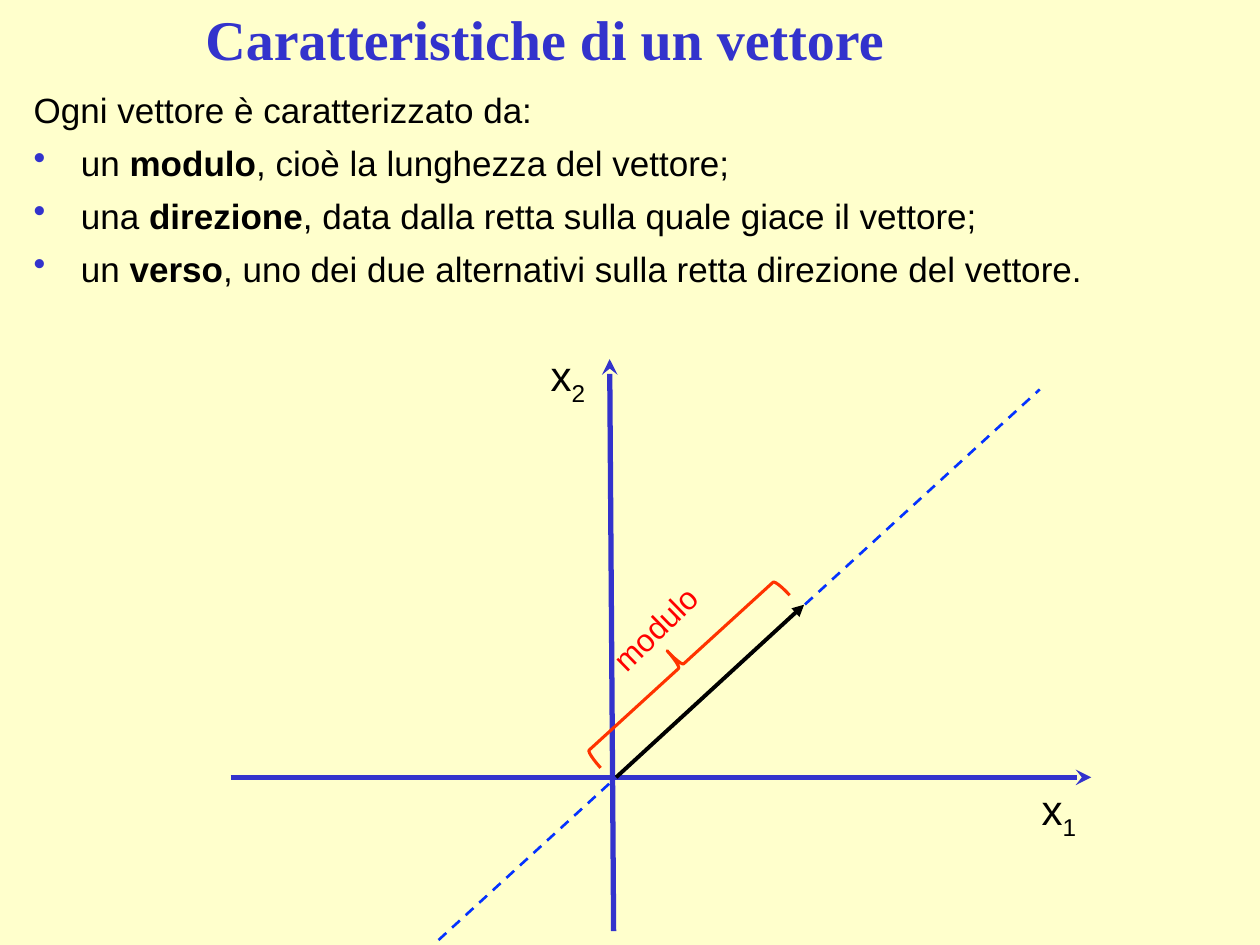
from lxml import etree
from pptx import Presentation
from pptx.dml.color import RGBColor
from pptx.enum.dml import MSO_LINE
from pptx.enum.shapes import MSO_CONNECTOR, MSO_SHAPE
from pptx.enum.text import MSO_ANCHOR, MSO_AUTO_SIZE, PP_ALIGN
from pptx.oxml.ns import qn
from pptx.util import Cm, Pt

STRAIGHT = MSO_CONNECTOR.STRAIGHT
BRACE = MSO_SHAPE.LEFT_BRACE
DASH = MSO_LINE.DASH
MIDDLE = MSO_ANCHOR.MIDDLE
GROW = MSO_AUTO_SIZE.SHAPE_TO_FIT_TEXT
JUSTIFY = PP_ALIGN.JUSTIFY

COLORS = {
    "paper": "FFFFCC",
    "axis": "3333CC",
    "dash": "0432FF",
    "brace": "FF3300",
    "red": "FF0000",
    "ink": "000000",
}


def color(name):
    return RGBColor.from_string(COLORS[name])


def add_box(slide, x, y, w, h):
    return slide.shapes.add_textbox(Cm(x), Cm(y), Cm(w), Cm(h))


def add_run(para, text, size, tint="ink", face="Arial", bold=False):
    run = para.add_run()
    run.text = text
    font = run.font
    font.name, font.size, font.bold = face, Pt(size), bold
    font.color.rgb = color(tint)
    return run


def set_indent(para, left, first, bullet=None):
    """Set the indents in cm and, if given, the bullet sign."""
    props = para._p.get_or_add_pPr()
    props.set("marL", str(Cm(left)))
    props.set("indent", str(Cm(first)))
    if bullet:
        tint = etree.SubElement(props, qn("a:buClr"))
        etree.SubElement(tint, qn("a:srgbClr"), val=COLORS["axis"])
        etree.SubElement(props, qn("a:buChar"), char=bullet)


def add_line(slide, start, end, tint, width, head=None):
    """Draw a line between two points in cm, with an arrowhead at its end."""
    line = slide.shapes.add_connector(STRAIGHT, *map(Cm, start + end))
    line.line.color.rgb = color(tint)
    line.line.width = Pt(width)
    if head:
        etree.SubElement(line.line._get_or_add_ln(), qn("a:tailEnd"), type=head)
    etree.SubElement(line._element.spPr, qn("a:effectLst"))
    return line


def add_label(slide, x, y, w, text, size, tint="ink", sub=None):
    box = add_box(slide, x, y, w, 1.27)
    frame = box.text_frame
    frame.word_wrap = False
    frame.auto_size = GROW
    para = frame.paragraphs[0]
    add_run(para, text, size, tint)
    if sub:
        low = add_run(para, sub, size, tint)
        low.font._element.set("baseline", "-25000")
    return box


def add_title(slide, x, y, w, h):
    frame = add_box(slide, x, y, w, h).text_frame
    frame.word_wrap = True
    frame.vertical_anchor = MIDDLE
    para = frame.paragraphs[0]
    para.line_spacing = 0.9
    add_run(para, "Caratteristiche di un vettore", 32, "axis",
            "Times New Roman", True)


def add_traits(slide, x, y, w, h):
    """Add the opening sentence and the bulleted traits of a vector."""
    items = [
        ("un ", "modulo", ", cioè la lunghezza del vettore;"),
        ("una ", "direzione", ", data dalla retta sulla quale giace il vettore;"),
        ("un ", "verso", ", uno dei due alternativi sulla retta direzione del vettore."),
    ]
    frame = add_box(slide, x, y, w, h).text_frame
    frame.word_wrap = True
    intro = frame.paragraphs[0]
    set_indent(intro, 0.1, -0.03)
    add_run(intro, "Ogni vettore è caratterizzato da:", 20)
    for lead, term, rest in items:
        para = frame.add_paragraph()
        set_indent(para, 1.02, -0.95, "•")
        para.space_before = Pt(11)
        add_run(para, lead, 20)
        add_run(para, term, 20, bold=True)
        add_run(para, rest, 20)
    for para in frame.paragraphs:
        para.alignment = JUSTIFY
        para.line_spacing = 0.8


def add_plot(slide, x, y, w, h):
    """Draw the axes, the vector with its direction, and its length."""
    base = y + 8.74
    ray = add_line(slide, (x + 4.19, y + 12.02), (x + 16.31, y + 0.92), "dash", 1.5)
    ray.line.dash_style = DASH
    add_line(slide, (x, base), (x + w, base), "axis", 3, "stealth")
    add_line(slide, (x + 7.72, y + h), (x + 7.64, y + 0.31), "axis", 3, "stealth")
    add_label(slide, x + 16.1, base, 1.24, "x", 24, sub="1")
    add_label(slide, x + 6.2, y, 1.24, "x", 24, sub="2")

    brace = slide.shapes.add_shape(
        BRACE, Cm(x + 8.66), Cm(y + 3.92), Cm(0.84), Cm(5.16))
    brace.rotation = 47.6
    brace.shadow.inherit = False
    brace.fill.background()
    brace.line.color.rgb = color("brace")
    brace.line.width = Pt(1.75)

    name = add_label(slide, x + 7.24, y + 4.93, 3.33, "modulo", 18, "red")
    name.rotation = 315.5
    add_line(slide, (x + 7.77, base), (x + 11.56, y + 5.26), "ink", 2.25, "triangle")


def main():
    deck = Presentation()
    deck.slide_width, deck.slide_height = Cm(25.4), Cm(19.05)
    slide = deck.slides.add_slide(deck.slide_layouts[6])
    fill = slide.background.fill
    fill.solid()
    fill.fore_color.rgb = color("paper")
    add_title(slide, 3.89, 0.1, 16.64, 1.52)
    add_traits(slide, 0.36, 1.83, 24.66, 5.13)
    add_plot(slide, 4.65, 6.93, 17.35, 11.84)
    deck.save("out.pptx")


if __name__ == "__main__":
    main()
